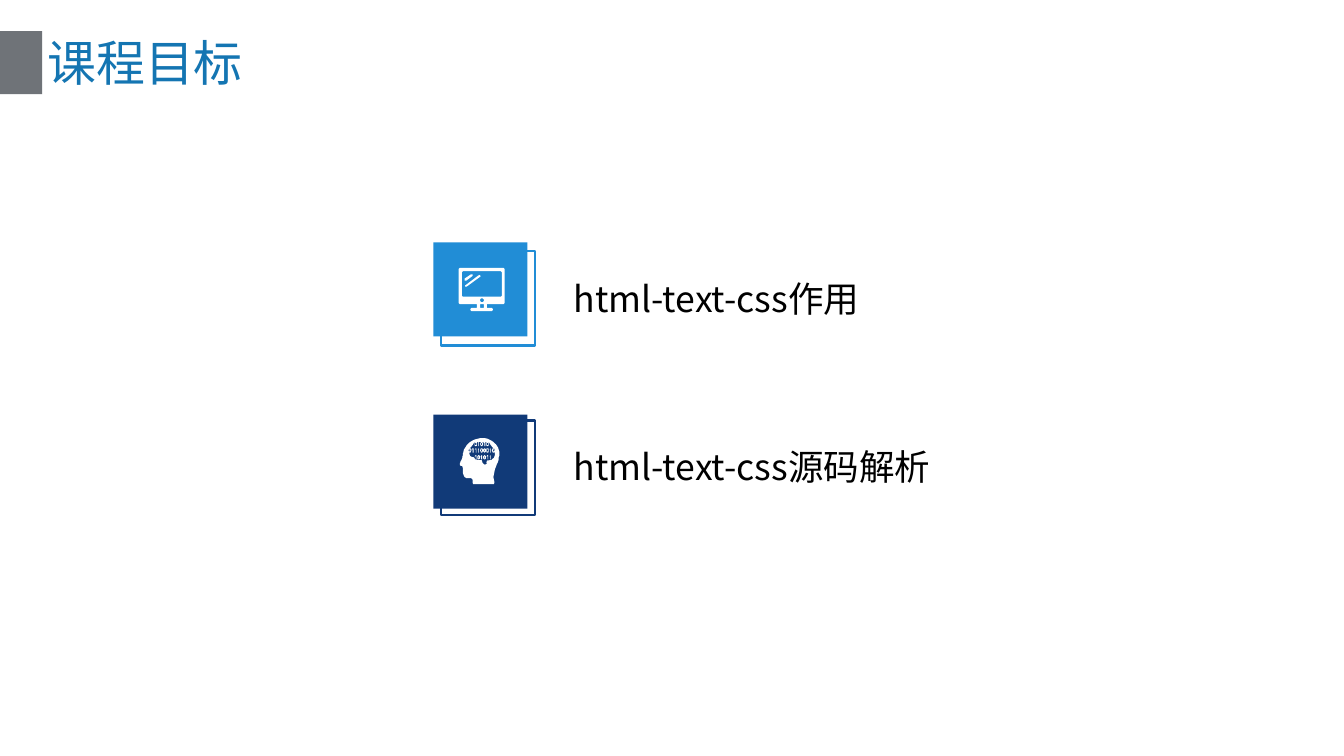
from math import cos, pi, sin

from pptx import Presentation
from pptx.dml.color import RGBColor
from pptx.enum.shapes import MSO_SHAPE
from pptx.enum.text import MSO_ANCHOR
from pptx.oxml.ns import qn
from pptx.util import Emu, Pt

PIXEL = 914400 / 53.3
ICON_UNIT = 9144
WHITE = "FFFFFF"


def px(n):
    return Emu(round(n * PIXEL))


def color(value):
    return RGBColor.from_string(value)


def oval(cx, cy, rx, ry, steps=16):
    return [(cx + rx * cos(2 * pi * i / steps), cy + ry * sin(2 * pi * i / steps))
            for i in range(steps)]


def box(left, top, right, bottom, radius=0):
    if not radius:
        return [(left, top), (right, top), (right, bottom), (left, bottom)]
    centers = [(right - radius, bottom - radius), (left + radius, bottom - radius),
               (left + radius, top + radius), (right - radius, top + radius)]
    return [(cx + radius * cos(pi / 2 * (k + i / 4)), cy + radius * sin(pi / 2 * (k + i / 4)))
            for k, (cx, cy) in enumerate(centers) for i in range(5)]


def curve(start, *segments, steps=6):
    points = [start]
    for a, b, end in segments:
        first = points[-1]
        for i in range(1, steps + 1):
            t = i / steps
            u = 1 - t
            points.append(tuple(u**3 * p + 3 * u * u * t * q + 3 * u * t * t * r + t**3 * s
                                for p, q, r, s in zip(first, a, b, end)))
    return points


def digits(text, cx, top, pitch=5.5):
    contours = []
    for i, digit in enumerate(text):
        x = cx + i * pitch
        if digit == "0":
            contours += [oval(x, top + 4, 2.5, 4), oval(x, top + 4, 1, 2.5)]
        else:
            contours.append([(x - 2, top + 2), (x, top), (x + 1, top), (x + 1, top + 8),
                             (x - 0.5, top + 8), (x - 0.5, top + 2)])
    return contours


class Deck:
    font = "Noto Sans CJK SC"

    def __init__(self, width, height):
        self.prs = Presentation()
        self.prs.slide_width, self.prs.slide_height = px(width), px(height)
        self.s = self.prs.slides.add_slide(self.prs.slide_layouts[6])

    def paint(self, sp, fill=None, line=None):
        sp.shadow.inherit = False
        if fill:
            sp.fill.solid()
            sp.fill.fore_color.rgb = color(fill)
        else:
            sp.fill.background()
        if line:
            sp.line.color.rgb = color(line)
            sp.line.width = Pt(3)
        else:
            sp.line.fill.background()

    def rect(self, x, y, w, h, fill=None, line=None):
        sp = self.s.shapes.add_shape(MSO_SHAPE.RECTANGLE, px(x), px(y), px(w), px(h))
        self.paint(sp, fill, line)

    def icon(self, contours, fill=WHITE):
        builder = self.s.shapes.build_freeform(*contours[0][0], scale=ICON_UNIT)
        for i, points in enumerate(contours):
            if i:
                builder.move_to(*points[0])
            builder.add_line_segments(points[1:], close=True)
        self.paint(builder.convert_to_shape(), fill)

    def text(self, x, y, w, h, text, size, fill, anchor=MSO_ANCHOR.TOP):
        tf = self.s.shapes.add_textbox(px(x), px(y), px(w), px(h)).text_frame
        tf.word_wrap = True
        tf.vertical_anchor = anchor
        r = tf.paragraphs[0].add_run()
        r.text = text
        r.font.size = Pt(size)
        r.font.name = self.font
        r.font.color.rgb = color(fill)
        r.font.fill.fore_color.rgb = color(fill)
        ea = r.font._element.makeelement(qn("a:ea"), {"typeface": self.font})
        r.font._element.find(qn("a:latin")).addnext(ea)


monitor = [
    box(860, 502, 946, 570, 4),
    box(866, 508, 941, 556, 3),
    oval(903.5, 562.5, 3.5, 3.5),
    [(897, 516), (900, 515), (901, 518), (875, 537), (872, 537), (872, 535)],
    [(883, 514), (886, 514), (886, 517), (874, 526), (871, 526), (871, 522)],
    box(894, 570, 900, 577),
    box(907, 570, 913, 577),
    box(882, 577, 924, 583, 3),
]

skull = curve(
    (904, 821),
    ((914, 821), (923, 825), (930, 833)),
    ((934, 839), (937, 846), (936, 854)),
    ((935, 861), (933, 867), (930, 874)),
    ((926, 884), (923, 894), (927, 904)),
    ((927, 905), (927, 907), (925, 907)),
    ((925, 907), (888, 907), (888, 907)),
    ((886, 907), (886, 905), (886, 901)),
    ((886, 896), (884, 896), (880, 896)),
    ((876, 896), (872, 896), (870, 892)),
    ((868, 889), (868, 885), (868, 881)),
    ((868, 878), (868, 875), (866, 873)),
    ((864, 873), (862, 872), (862, 870)),
    ((861, 869), (862, 868), (863, 866)),
    ((866, 861), (867, 858), (868, 853)),
    ((868, 851), (868, 849), (869, 846)),
    ((871, 838), (876, 832), (882, 828)),
    ((888, 823), (896, 821), (904, 821)),
)
brain = [
    (898, 828), (909, 828), (917, 829), (920, 834), (925, 840), (927, 845), (928, 852),
    (926, 858), (923, 860), (921, 862), (913, 863), (912, 867), (913, 869), (909, 871),
    (905, 868), (903, 862), (896, 862), (891, 861), (889, 857), (884, 856), (881, 854),
    (879, 846), (880, 841), (886, 834), (889, 829),
]
head = [skull, brain, *digits("01010", 892, 828), *digits("011100010", 881, 840),
        *digits("101011", 892, 853)]

deck = Deck(1343, 755)
deck.rect(0, 31, 42, 63, fill="6F7378")
deck.text(42, 30, 1259, 64, "课程目标", 66, "1475B2", MSO_ANCHOR.MIDDLE)

goals = [
    (242, 251, 274, 305, "218DD6", "html-text-css作用", monitor),
    (414, 420, 442, 374, "113A78", "html-text-css源码解析", head),
]
for tile_y, frame_y, text_y, text_w, shade, goal, symbol in goals:
    deck.rect(441, frame_y, 94, 94, line=shade)
    deck.rect(433, tile_y, 94, 94, fill=shade)
    deck.text(568, text_y, text_w, 48, goal, 48, "000000")
    deck.icon(symbol)

deck.prs.save("out.pptx")
